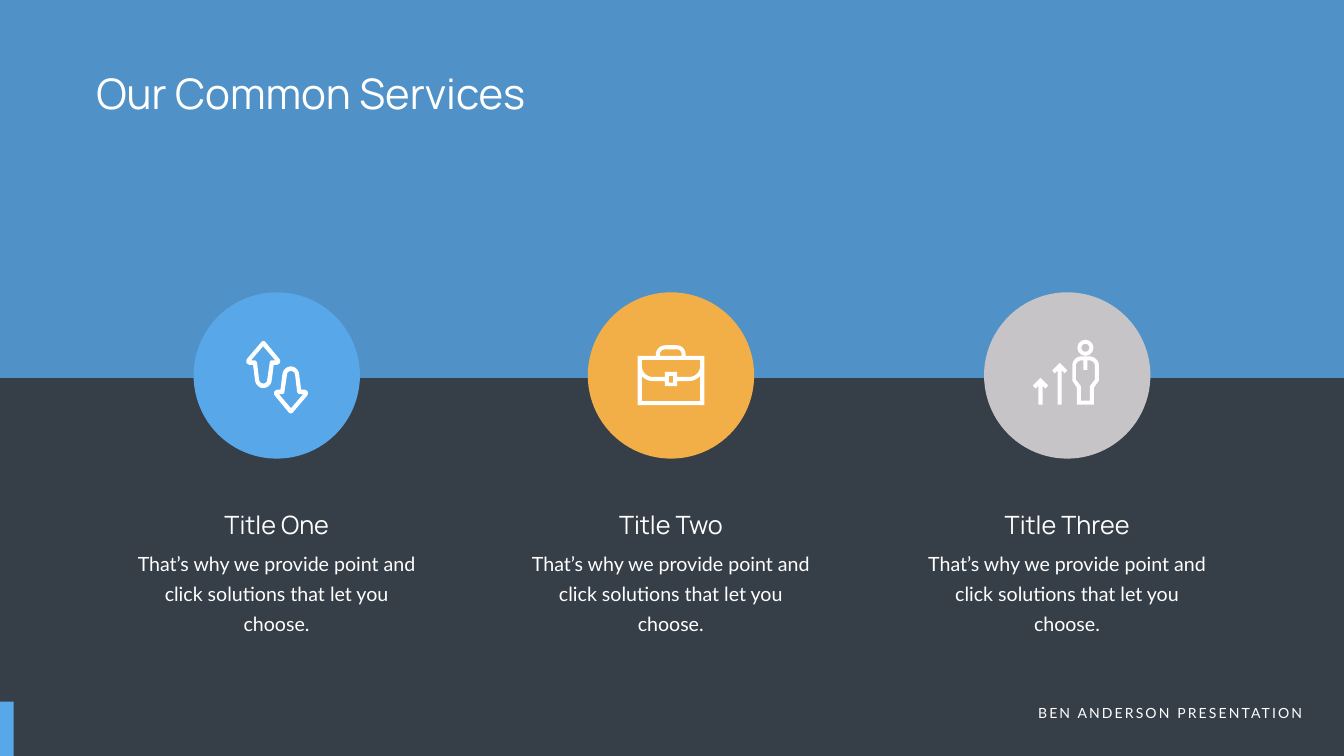
from pptx import Presentation
from pptx.dml.color import RGBColor
from pptx.enum.shapes import MSO_SHAPE
from pptx.enum.text import MSO_ANCHOR, PP_ALIGN
from pptx.oxml.ns import qn
from pptx.util import Inches, Pt
from lxml import etree

RECT, OVAL, DONUT = MSO_SHAPE.RECTANGLE, MSO_SHAPE.OVAL, MSO_SHAPE.DONUT
LEFT, MID, RIGHT = PP_ALIGN.LEFT, PP_ALIGN.CENTER, PP_ALIGN.RIGHT
TOP = MSO_ANCHOR.TOP

WHITE = RGBColor(0xFF, 0xFF, 0xFF)
DARK = RGBColor(0x36, 0x3E, 0x48)
BLUE = RGBColor(0x57, 0xA7, 0xE9)
AMBER = RGBColor(0xF3, 0xAF, 0x47)
GREY = RGBColor(0xC7, 0xC4, 0xC7)

HEAD, BODY = "Manrope", "Lato"
WIDE, HIGH = 26.66, 15
ROW = 7.45  # centre line of the discs
DISC = 3.3
COPY = "That’s why we provide point and click solutions that let you choose."

# Icon outlines in hundredths of an inch around their centre
ARROW = """
M 33 -4 C 34 -7 34 -10 32 -12 L 4 -46 C 3 -47 2 -47 0 -47
C -1 -47 -2 -47 -3 -46 L -32 -12 C -33 -10 -34 -7 -33 -4
C -31 -2 -29 0 -26 0 L -20 0 L -16 31 C -15 39 -8 46 0 46
C 9 46 16 39 17 31 L 21 0 L 26 0 C 29 0 32 -2 33 -4
M 18 -9 C 15 -9 13 -7 13 -4 L 8 30 C 8 34 4 37 0 37
C -4 37 -7 34 -8 30 L -12 -4 C -13 -7 -15 -9 -17 -9
L -24 -9 L 0 -37 L 24 -9"""
CASE = """
M 36 3 L 12 3 L 12 -7 L -12 -7 L -12 3 L -36 3
C -48 3 -58 -7 -58 -19 L -58 -31 L 58 -31 L 58 -19 C 58 -7 48 3 36 3
M -4 1 L 4 1 L 4 14 L -4 14
M 58 51 L -58 51 L -58 1 C -53 7 -45 11 -36 11 L -12 11 L -12 21
L 12 21 L 12 11 L 36 11 C 44 11 52 7 58 1
M -22 -42 C -22 -48 -17 -52 -11 -52 L 11 -52 C 17 -52 21 -48 21 -42
L 21 -39 L -22 -39
M 29 -39 L 29 -42 C 29 -52 21 -60 11 -60 L -11 -60
C -21 -60 -30 -52 -30 -42 L -30 -39 L -66 -39 L -66 59 L 66 59 L 66 -39"""
MAN = """
M 55 8 L 45 21 L 45 50 L 27 50 L 27 21 L 17 8 L 17 -19
C 17 -25 23 -30 29 -30 L 32 -30 L 32 -11 L 40 -11 L 40 -30 L 43 -30
C 50 -30 55 -25 55 -19
M 43 -38 L 29 -38 C 18 -38 10 -30 10 -19 L 10 10 L 19 24 L 19 58
L 53 58 L 53 24 L 63 10 L 63 -19 C 63 -30 54 -38 43 -38"""


def paint(shape, color):
    shape.shadow.inherit = False
    shape.fill.solid()
    shape.fill.fore_color.rgb = color
    shape.line.fill.background()
    return shape


def add_form(slide, kind, x, y, w, h, color):
    box = [Inches(v) for v in (x, y, w, h)]
    return paint(slide.shapes.add_shape(kind, *box), color)


def set_text(shape, text, size, font=BODY, align=LEFT, wrap=True,
             lead=None, track=None):
    frame = shape.text_frame
    frame.word_wrap = wrap
    frame.vertical_anchor = TOP
    para = frame.paragraphs[0]
    para.alignment = align
    if lead:
        para.line_spacing = Pt(lead)
    run = para.add_run()
    run.text = text
    run.font.name = font
    run.font.size = Pt(size)
    run.font.color.rgb = WHITE
    if track:
        run.font._element.set("spc", str(track * 100))


def add_text(slide, x, y, w, h, text, **style):
    box = slide.shapes.add_textbox(*[Inches(v) for v in (x, y, w, h)])
    set_text(box, text, **style)


def trace(path):
    """Turn a path of M, L and C steps into lists of points."""
    loops, step, nums = [], "", []
    for part in path.split():
        if part in "MLC":
            step = part
            continue
        nums.append(float(part))
        if len(nums) < (6 if step == "C" else 2):
            continue
        if step == "M":
            loops.append([tuple(nums)])
        elif step == "L":
            loops[-1].append(tuple(nums))
        else:
            dots = [loops[-1][-1], *zip(nums[::2], nums[1::2])]
            for i in range(1, 9):
                t = i / 8
                mix = ((1 - t) ** 3, 3 * t * (1 - t) ** 2,
                       3 * t * t * (1 - t), t ** 3)
                loops[-1].append(tuple(
                    sum(m * dot[k] for m, dot in zip(mix, dots))
                    for k in (0, 1)))
        nums = []
    return loops


def add_icon(slide, x, y, path):
    pen = None
    for loop in trace(path):
        dots = [(Inches(x + a / 100), Inches(y + b / 100)) for a, b in loop]
        if pen is None:
            pen = slide.shapes.build_freeform(*dots[0])
        else:
            pen.move_to(*dots[0])
        pen.add_line_segments(dots[1:], close=True)
    return paint(pen.convert_to_shape(), WHITE)


def draw_swap(slide, mid):
    add_icon(slide, mid - 0.27, ROW - 0.21, ARROW)
    add_icon(slide, mid + 0.28, ROW + 0.29, ARROW).rotation = 180


def draw_case(slide, mid):
    add_icon(slide, mid, ROW, CASE)


def draw_growth(slide, mid):
    add_icon(slide, mid, ROW, MAN)
    add_form(slide, DONUT, mid + 0.2, ROW - 0.71, 0.32, 0.32, WHITE)
    # Two rising arrows on a shared base
    for x, rise in ((-0.15, 83), (-0.53, 53)):
        low = 15 - rise
        tip = (f"M -15 {low} L -10 {low + 6} L -4 {low} L -4 0 L 4 0 "
               f"L 4 {low} L 10 {low + 6} L 15 {low} L 0 {-rise}")
        add_icon(slide, mid + x, ROW + 0.58, tip)


def add_service(slide, mid, name, color, draw):
    add_form(slide, OVAL, mid - DISC / 2, ROW - DISC / 2, DISC, DISC, color)
    draw(slide, mid)
    add_text(slide, mid - 2.99, 10.77, 5.97, 1.25, COPY,
             size=28, align=MID, lead=43)
    add_text(slide, mid - 1.4, 10.06, 2.8, 0.71, name,
             size=36, font=HEAD, align=MID, wrap=False)


def main():
    deck = Presentation()
    deck.slide_width, deck.slide_height = Inches(WIDE), Inches(HIGH)
    slide = deck.slides.add_slide(deck.slide_layouts[5])
    slide.background.fill.solid()
    slide.background.fill.fore_color.rgb = DARK

    # Translucent top band, behind the title
    title = slide.shapes.title
    band = add_form(slide, RECT, 0, 0, WIDE, HIGH / 2, BLUE)
    tint = band.element.spPr.find(qn("a:solidFill"))[0]
    etree.SubElement(tint, qn("a:alpha")).set("val", "80000")
    title.element.addprevious(band.element)

    # Title
    title.left, title.top = Inches(1.81), Inches(1.28)
    title.width, title.height = Inches(9.76), Inches(1.11)
    set_text(title, "Our Common Services", size=60, font=HEAD)

    # Footer and corner mark
    add_text(slide, 20.08, 13.92, 5.85, 0.44, "BEN ANDERSON PRESENTATION",
             size=20, align=RIGHT, track=3)
    add_form(slide, RECT, 0, 13.92, 0.27, 1.08, BLUE)

    # Services
    for item in ((5.49, "Title One", BLUE, draw_swap),
                 (13.31, "Title Two", AMBER, draw_case),
                 (21.17, "Title Three", GREY, draw_growth)):
        add_service(slide, *item)

    deck.save("out.pptx")


if __name__ == "__main__":
    main()
